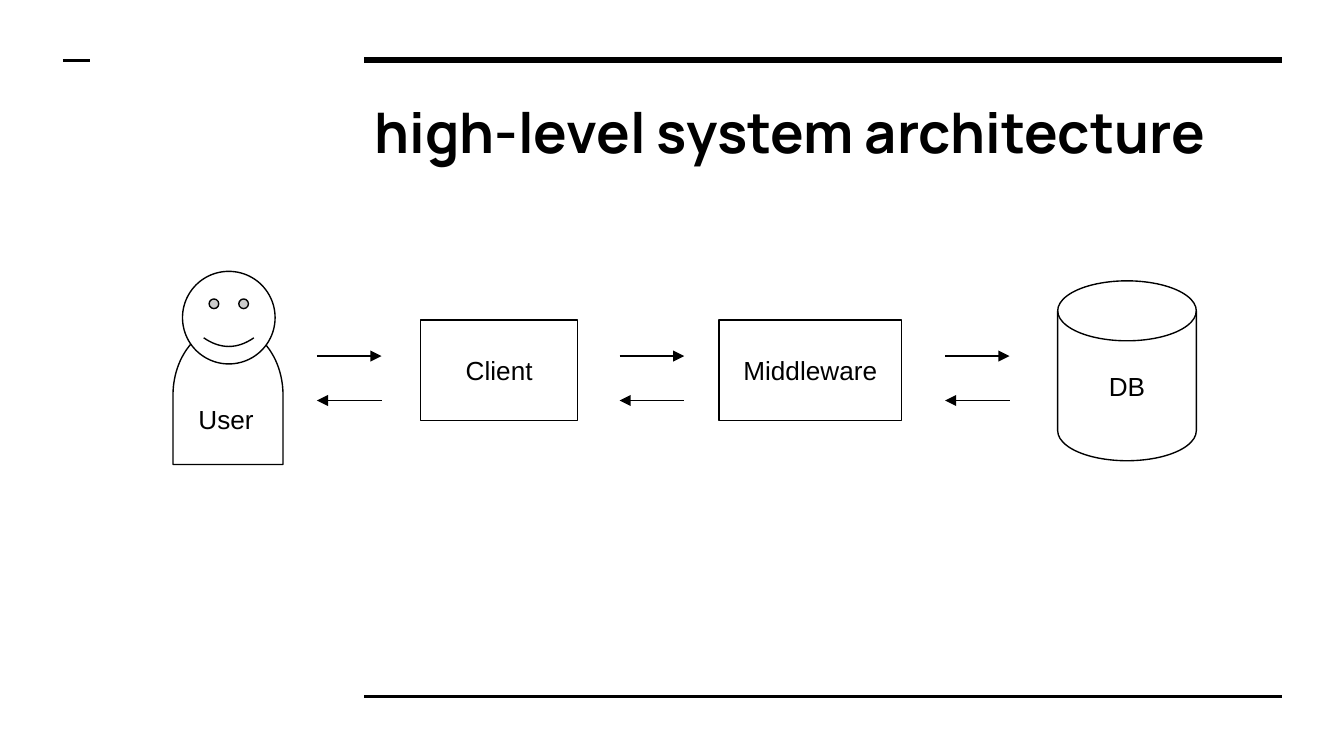
from dataclasses import dataclass

from lxml.etree import SubElement
from pptx import Presentation
from pptx.dml.color import RGBColor
from pptx.enum.shapes import MSO_CONNECTOR as Connector, MSO_SHAPE as Shape
from pptx.enum.text import MSO_ANCHOR as Anchor, PP_ALIGN as Align
from pptx.oxml.ns import qn
from pptx.util import Cm, Pt

COLORS = {"ink": "000000", "paper": "FFFFFF"}
BODY_FONT, TITLE_FONT = "Arial", "Manrope"
INSET = 0.25
THIN = 0.75


@dataclass(frozen=True)
class Box:
    left: float
    top: float
    width: float
    height: float

    def lengths(self) -> tuple:
        return Cm(self.left), Cm(self.top), Cm(self.width), Cm(self.height)


@dataclass(frozen=True)
class Node:
    kind: Shape
    box: Box
    label: str = ""
    rotation: float = 0


@dataclass(frozen=True)
class Rule:
    left: float
    right: float
    y: float
    weight: float
    arrow: str = ""  # "headEnd" points left, "tailEnd" points right


RULES = [
    Rule(6.88, 24.23, 1.14, 3),
    Rule(6.88, 24.23, 13.16, 1.5),
    Rule(1.19, 1.7, 1.14, 1.5),
]
NODES = [
    Node(Shape.RECTANGLE, Box(7.95, 6.05, 2.97, 1.9), "Client"),
    Node(Shape.RECTANGLE, Box(13.59, 6.05, 3.45, 1.9), "Middleware"),
    Node(Shape.FLOWCHART_MAGNETIC_DISK, Box(19.99, 5.31, 2.62, 3.4), "DB"),
    Node(Shape.FLOWCHART_DELAY, Box(3, 6.43, 2.62, 2.08), rotation=270),
    Node(Shape.SMILEY_FACE, Box(3.45, 5.13, 1.75, 1.75)),
]
ARROW_LEFTS = [5.99, 11.71, 17.86]
ARROW_LENGTH = 1.22
ARROW_ROWS = {"tailEnd": 6.73, "headEnd": 7.57}


def color(name: str) -> RGBColor:
    return RGBColor.from_string(COLORS[name])


def write(shape, text: str, size: float, font: str = BODY_FONT, bold: bool = False,
          align: Align = Align.CENTER, anchor: Anchor = Anchor.MIDDLE,
          left_inset: float = INSET) -> None:
    frame = shape.text_frame
    frame.word_wrap = True
    frame.vertical_anchor = anchor
    frame.margin_left = Cm(left_inset)
    frame.margin_right = frame.margin_top = frame.margin_bottom = Cm(INSET)
    paragraph = frame.paragraphs[0]
    paragraph.text = text
    paragraph.alignment = align
    paragraph.font.name = font
    paragraph.font.size = Pt(size)
    paragraph.font.bold = bold
    paragraph.font.color.rgb = color("ink")


def draw_rule(slide, rule: Rule) -> None:
    line = slide.shapes.add_connector(
        Connector.STRAIGHT, Cm(rule.left), Cm(rule.y), Cm(rule.right), Cm(rule.y))
    line.line.color.rgb = color("ink")
    line.line.width = Pt(rule.weight)
    if rule.arrow:
        SubElement(line.line._get_or_add_ln(), qn(f"a:{rule.arrow}"), type="triangle")
    SubElement(line._element.spPr, qn("a:effectLst"))


def draw_node(slide, node: Node) -> None:
    shape = slide.shapes.add_shape(node.kind, *node.box.lengths())
    shape.rotation = node.rotation
    shape.shadow.inherit = False
    shape.fill.solid()
    shape.fill.fore_color.rgb = color("paper")
    shape.line.color.rgb = color("ink")
    shape.line.width = Pt(THIN)
    if node.label:
        write(shape, node.label, 14)


def main() -> None:
    presentation = Presentation()
    presentation.slide_width, presentation.slide_height = Cm(25.4), Cm(14.29)
    slide = presentation.slides.add_slide(presentation.slide_layouts[6])

    for rule in RULES:
        draw_rule(slide, rule)

    title = slide.shapes.add_textbox(*Box(6.65, 1.6, 17.55, 1.75).lengths())
    write(title, "high-level system architecture", 30, TITLE_FONT, bold=True,
          align=Align.LEFT, anchor=Anchor.TOP, left_inset=0.43)

    for node in NODES:
        draw_node(slide, node)

    for arrow, y in ARROW_ROWS.items():
        for left in ARROW_LEFTS:
            draw_rule(slide, Rule(left, left + ARROW_LENGTH, y, THIN, arrow))

    user_label = slide.shapes.add_textbox(*Box(3.4, 7.37, 1.75, 1.04).lengths())
    write(user_label, "User", 14, anchor=Anchor.TOP)

    presentation.save("out.pptx")


if __name__ == "__main__":
    main()
